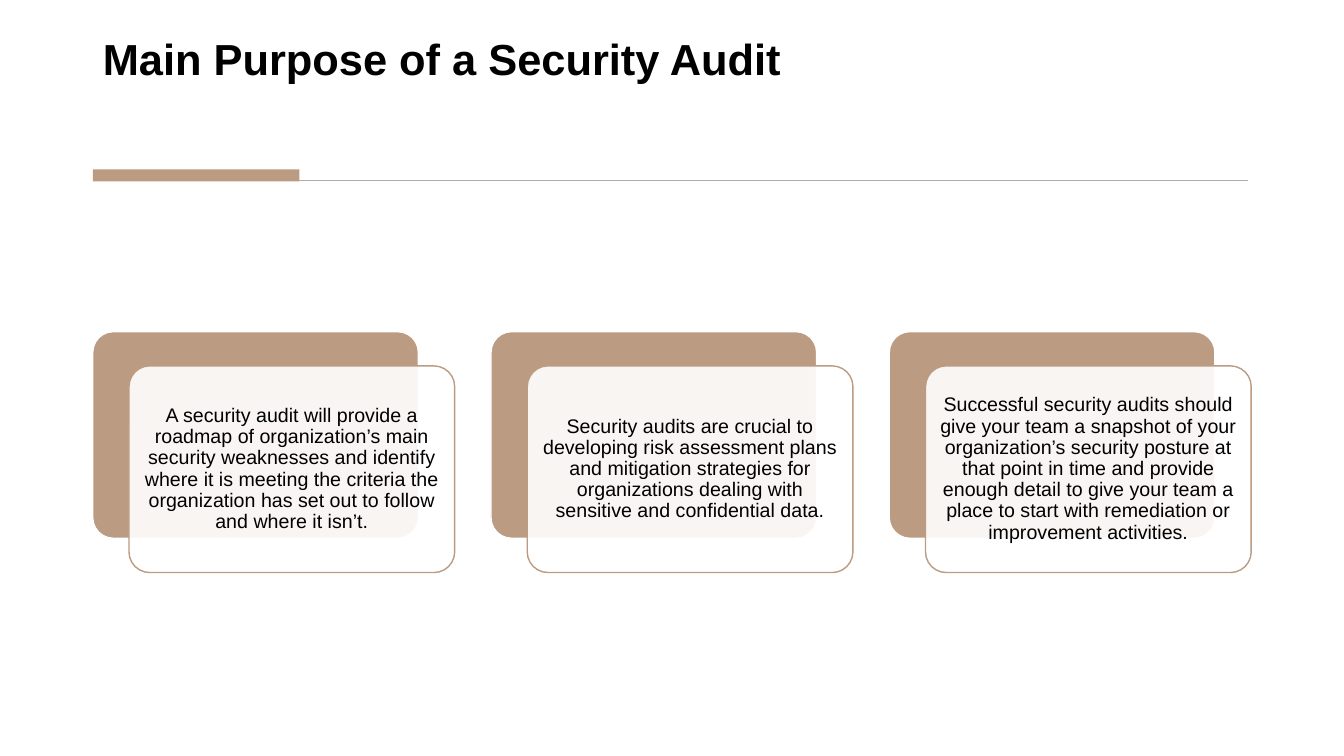
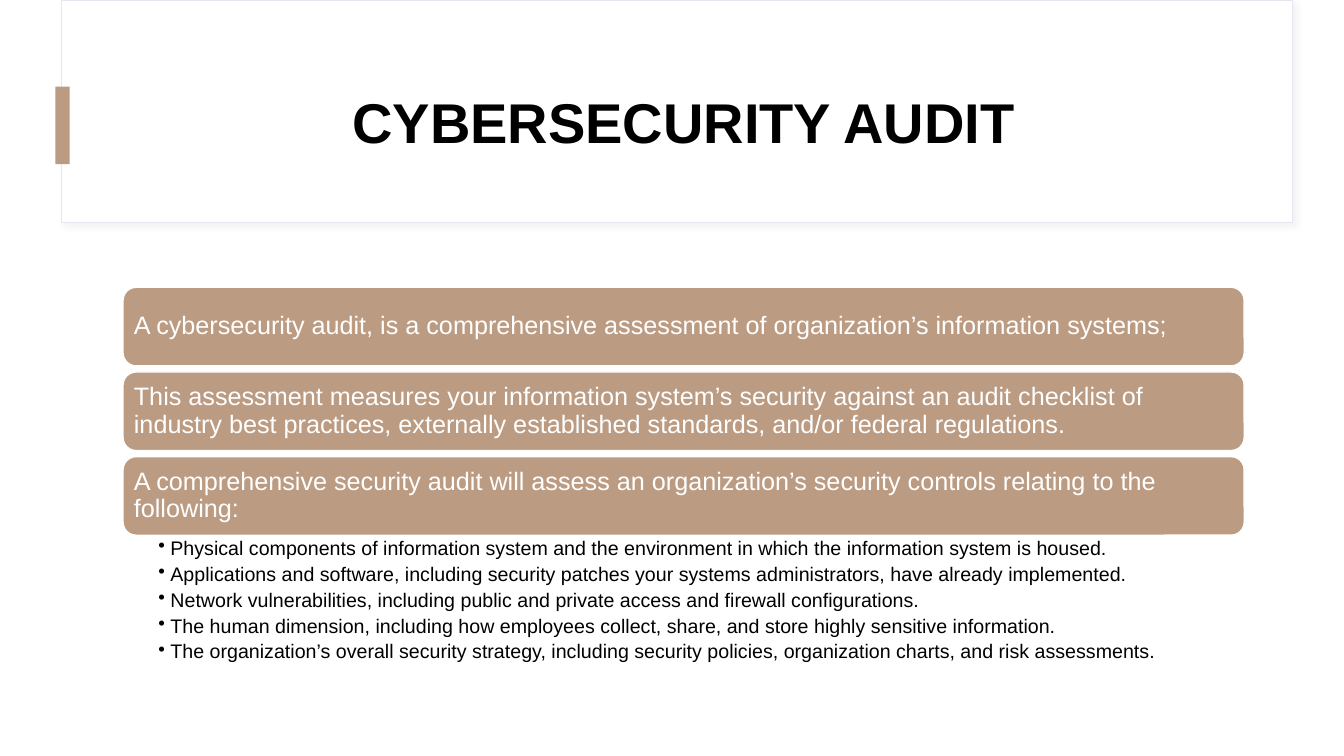
from lxml import etree
from pptx import Presentation
from pptx.dml.color import RGBColor
from pptx.enum.shapes import MSO_CONNECTOR, MSO_SHAPE
from pptx.enum.text import MSO_ANCHOR, MSO_AUTO_SIZE, PP_ALIGN
from pptx.oxml.ns import qn
from pptx.util import Inches, Pt

RECT, ROUNDED = MSO_SHAPE.RECTANGLE, MSO_SHAPE.ROUNDED_RECTANGLE
STRAIGHT = MSO_CONNECTOR.STRAIGHT
TOP, MIDDLE = MSO_ANCHOR.TOP, MSO_ANCHOR.MIDDLE
LEFT, CENTER = PP_ALIGN.LEFT, PP_ALIGN.CENTER
NO_FIT = MSO_AUTO_SIZE.NONE
TITLE_ONLY = 5

COLORS = {"accent": "BB9B82", "white": "FFFFFF", "black": "000000",
          "rule": "ADADAD", "panel_line": "E5E7F0", "shadow": "D9D9D9"}
FONT = "Arial"


def add_box(s, kind, at, fill, line=None, width=1):
    shape = s.shapes.add_shape(kind, *[Inches(v) for v in at])
    shape.shadow.inherit = False
    shape.fill.solid()
    shape.fill.fore_color.rgb = RGBColor.from_string(COLORS[fill])
    if line:
        shape.line.color.rgb = RGBColor.from_string(COLORS[line])
        shape.line.width = Pt(width)
    else:
        shape.line.fill.background()
    return shape


def set_text(shape, texts, size, color="black", align=LEFT, anchor=MIDDLE,
             insets=(0.1, 0.05, 0.1, 0.05), bold=False, after=0):
    tf = shape.text_frame
    frame = {"word_wrap": True, "auto_size": NO_FIT, "vertical_anchor": anchor}
    sides = ("margin_left", "margin_top", "margin_right", "margin_bottom")
    frame.update(zip(sides, [Inches(v) for v in insets]))
    for name, value in frame.items():
        setattr(tf, name, value)
    for i, text in enumerate(texts):
        p = tf.paragraphs[0] if i == 0 else tf.add_paragraph()
        for name, value in {"alignment": align, "line_spacing": 0.9,
                            "space_before": Pt(0), "space_after": Pt(after)}.items():
            setattr(p, name, value)
        r = p.add_run()
        r.text = text
        for name, value in {"name": FONT, "size": Pt(size), "bold": bold}.items():
            setattr(r.font, name, value)
        r.font.color.rgb = RGBColor.from_string(COLORS[color])


prs = Presentation()
prs.slide_width, prs.slide_height = Inches(13.33), Inches(7.5)

titles = [
    ("Main Purpose of a Security Audit", (0.92, 0.33, 11.49, 1.06), 31, LEFT, TOP),
    ("CYBERSECURITY AUDIT", (1.22, 0.6, 11.12, 1.29), 40, CENTER, MIDDLE),
]
slides = []
for text, at, size, align, anchor in titles:
    s = prs.slides.add_slide(prs.slide_layouts[TITLE_ONLY])
    title = s.shapes.title
    title.left, title.top, title.width, title.height = [Inches(v) for v in at]
    set_text(title, [text], size, align=align, anchor=anchor, bold=True)
    slides.append(s)
purpose, audit = slides

rule = purpose.shapes.add_connector(STRAIGHT, Inches(0.95), Inches(1.79),
                                    Inches(12.38), Inches(1.79))
rule.line.color.rgb = RGBColor.from_string(COLORS["rule"])
rule.line.width = Pt(1.25)
etree.SubElement(rule.element.spPr, qn("a:effectLst"))
add_box(purpose, RECT, (0.92, 1.68, 2.05, 0.12), "accent")

cards = [
    "A security audit will provide a roadmap of organization’s main security "
    "weaknesses and identify where it is meeting the criteria the organization "
    "has set out to follow and where it isn’t.",
    "Security audits are crucial to developing risk assessment plans and "
    "mitigation strategies for organizations dealing with sensitive and "
    "confidential data.",
    "Successful security audits should give your team a snapshot of your "
    "organization’s security posture at that point in time and provide enough "
    "detail to give your team a place to start with remediation or improvement "
    "activities.",
]
for i, text in enumerate(cards):
    left = 0.92 + 3.95 * i
    back = add_box(purpose, ROUNDED, (left, 3.29, 3.23, 2.05), "accent", "white")
    front = add_box(purpose, ROUNDED, (left + 0.36, 3.63, 3.23, 2.05), "white", "accent")
    for shape in (back, front):
        shape.adjustments[0] = 0.1
    fill_color = front.element.spPr.find(qn("a:solidFill"))[0]
    etree.SubElement(fill_color, qn("a:alpha"), val="90000")
    set_text(front, [text], 14, align=CENTER, insets=[0.06] * 4)

panel = add_box(audit, RECT, (0.61, 0, 12.21, 2.21), "white", "panel_line", 0.75)
effects = panel.element.spPr.find(qn("a:effectLst"))
shadow = etree.SubElement(effects, qn("a:outerShdw"), blurRad=str(Pt(4)),
                          dist=str(Pt(3)), dir="2700000", algn="tl", rotWithShape="0")
shadow_color = etree.SubElement(shadow, qn("a:srgbClr"), val=COLORS["shadow"])
etree.SubElement(shadow_color, qn("a:alpha"), val="30000")
marker = add_box(audit, RECT, (0.55, 0.86, 0.14, 0.77), "accent")
for shape in (panel, marker):
    audit.shapes.title.element.addprevious(shape.element)

statements = [
    "A cybersecurity audit, is a comprehensive assessment of organization’s "
    "information systems;",
    "This assessment measures your information system’s security against an "
    "audit checklist of industry best practices, externally established "
    "standards, and/or federal regulations.",
    "A comprehensive security audit will assess an organization’s security "
    "controls relating to the following:",
]
for i, text in enumerate(statements):
    bar = add_box(audit, ROUNDED, (1.22, 2.85 + 0.84 * i, 11.12, 0.78), "accent", "white")
    set_text(bar, [text], 18, "white", insets=[0.07] * 4)

controls = [
    "Physical components of information system and the environment in which the "
    "information system is housed.",
    "Applications and software, including security patches your systems "
    "administrators, have already implemented.",
    "Network vulnerabilities, including public and private access and firewall "
    "configurations.",
    "The human dimension, including how employees collect, share, and store "
    "highly sensitive information.",
    "The organization’s overall security strategy, including security policies, "
    "organization charts, and risk assessments.",
]
control_list = audit.shapes.add_textbox(Inches(1.22), Inches(5.31),
                                        Inches(11.12), Inches(1.34))
set_text(control_list, controls, 14, anchor=TOP,
         insets=(0.35, 0.03, 0.14, 0.03), after=3.4)
for p in control_list.text_frame.paragraphs:
    pPr = p._p.get_or_add_pPr()
    pPr.set("marL", str(Inches(0.12)))
    pPr.set("indent", str(-Inches(0.12)))
    etree.SubElement(pPr, qn("a:buChar"), char="•")

prs.save("out.pptx")
